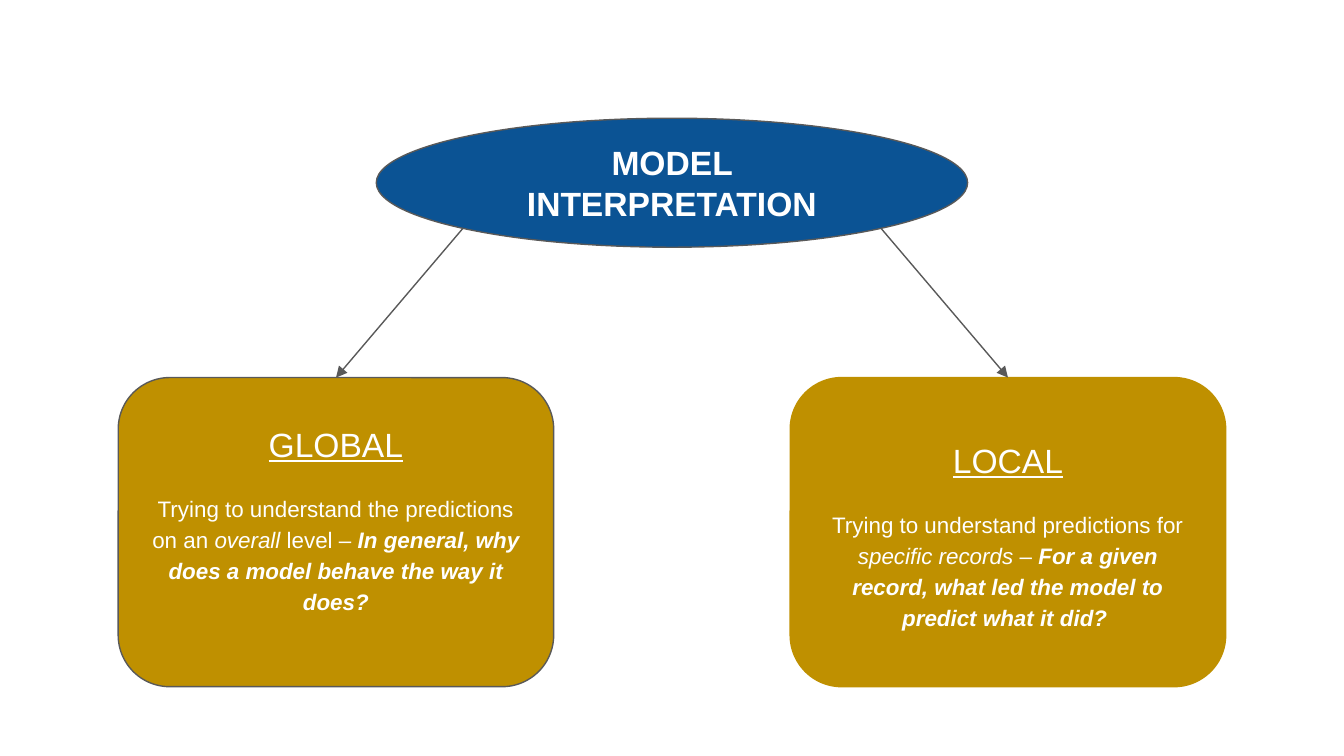
import math
from dataclasses import dataclass

import lxml.etree
import pptx
import pptx.dml.color
import pptx.enum.shapes
import pptx.enum.text
import pptx.oxml.ns
import pptx.util
from pptx.util import Inches

Shapes = pptx.enum.shapes.MSO_SHAPE


@dataclass(frozen=True)
class Theme:
    font: str = "Arial"
    blue: str = "0B5394"
    gold: str = "BF9000"
    grey: str = "595959"
    white: str = "FFFFFF"
    heading: int = 18
    body: int = 12
    line: float = 0.75
    gap: float = 14.5
    spacing: float = 1.15
    inset: float = 0.1


@dataclass(frozen=True)
class Box:
    left: float
    top: float
    width: float
    height: float

    @property
    def center_x(self) -> float:
        return self.left + self.width / 2

    @property
    def center_y(self) -> float:
        return self.top + self.height / 2


@dataclass(frozen=True)
class Run:
    text: str
    style: dict


@dataclass(frozen=True)
class Card:
    heading: str
    body: list[Run]
    box: Box
    outline: str
    bottom_inset: float
    side: int  # -1 left of the root, 1 right of it


THEME = Theme()
PLAIN, ITALIC = {}, {"italic": True}
STRONG = {"bold": True, "italic": True}


def rgb(value: str) -> pptx.dml.color.RGBColor:
    return pptx.dml.color.RGBColor.from_string(value)


def draw_node(slide, kind, box: Box, fill: str, outline: str,
              bottom_inset: float = THEME.inset):
    node = slide.shapes.add_shape(
        kind, *map(Inches, (box.left, box.top, box.width, box.height)))
    node.shadow.inherit = False
    node.fill.solid()
    node.fill.fore_color.rgb = rgb(fill)
    node.line.color.rgb = rgb(outline)
    node.line.width = pptx.util.Pt(THEME.line)
    frame_format = {
        "word_wrap": True,
        "vertical_anchor": pptx.enum.text.MSO_ANCHOR.MIDDLE,
        "margin_left": Inches(THEME.inset),
        "margin_right": Inches(THEME.inset),
        "margin_top": Inches(THEME.inset),
        "margin_bottom": Inches(bottom_inset),
    }
    for name, value in frame_format.items():
        setattr(node.text_frame, name, value)
    return node


def write_paragraph(paragraph, runs: list[Run], size: int, **layout) -> None:
    paragraph.alignment = pptx.enum.text.PP_ALIGN.CENTER
    for name, value in layout.items():
        setattr(paragraph, name, value)
    for run in runs:
        piece = paragraph.add_run()
        piece.text = run.text
        piece.font.color.rgb = rgb(THEME.white)
        font_format = {"name": THEME.font, "size": pptx.util.Pt(size), **run.style}
        for name, value in font_format.items():
            setattr(piece.font, name, value)


def draw_card(slide, card: Card):
    node = draw_node(slide, Shapes.ROUNDED_RECTANGLE, card.box, THEME.gold,
                     card.outline, card.bottom_inset)
    frame = node.text_frame
    write_paragraph(frame.paragraphs[0], [Run(card.heading, {"underline": True})],
                    THEME.heading, line_spacing=THEME.spacing)
    write_paragraph(frame.add_paragraph(), card.body, THEME.body,
                    line_spacing=THEME.spacing,
                    space_before=pptx.util.Pt(THEME.gap))
    return node


def draw_arrow(slide, root: Box, card: Card, target) -> None:
    # Leave the ellipse at 45 degrees, arrive at the card's top middle
    reach = math.sqrt(0.5)
    start_x = root.center_x + card.side * reach * root.width / 2
    start_y = root.center_y + reach * root.height / 2
    arrow = slide.shapes.add_connector(
        pptx.enum.shapes.MSO_CONNECTOR.STRAIGHT,
        *map(Inches, (start_x, start_y, card.box.center_x, card.box.top)))
    arrow.end_connect(target, 0)
    arrow.line.color.rgb = rgb(THEME.grey)
    arrow.line.width = pptx.util.Pt(THEME.line)
    qn = pptx.oxml.ns.qn
    line_xml = arrow._element.spPr.find(qn("a:ln"))
    lxml.etree.SubElement(line_xml, qn("a:tailEnd"), type="triangle")
    lxml.etree.SubElement(arrow._element.spPr, qn("a:effectLst"))


ROOT = Box(2.8, 0.88, 4.4, 0.96)
CARDS = [
    Card("GLOBAL", [
        Run("Trying to understand the predictions on an ", PLAIN),
        Run("overall", ITALIC),
        Run(" level – ", PLAIN),
        Run("In general, why does a model behave the way it does?", STRONG),
    ], Box(0.88, 2.81, 3.24, 2.3), THEME.grey, 0.34, -1),
    Card("LOCAL", [
        Run("Trying to understand predictions for ", PLAIN),
        Run("specific records ", ITALIC),
        Run("– ", PLAIN),
        Run("For a given record, what led the model to predict what it did? ", STRONG),
    ], Box(5.88, 2.81, 3.24, 2.3), THEME.gold, THEME.inset, 1),
]


def main() -> None:
    deck = pptx.Presentation()
    deck.slide_width = Inches(10)
    deck.slide_height = deck.slide_width * 9 // 16
    slide = deck.slides.add_slide(deck.slide_layouts[6])

    # Root concept
    root = draw_node(slide, Shapes.OVAL, ROOT, THEME.blue, THEME.grey)
    write_paragraph(root.text_frame.paragraphs[0],
                    [Run("MODEL INTERPRETATION", {"bold": True})], THEME.heading)

    # The two kinds of interpretation, then the arrows to them
    card_nodes = [draw_card(slide, card) for card in CARDS]
    for card, node in zip(CARDS, card_nodes):
        draw_arrow(slide, ROOT, card, node)

    deck.save("out.pptx")


if __name__ == "__main__":
    main()
